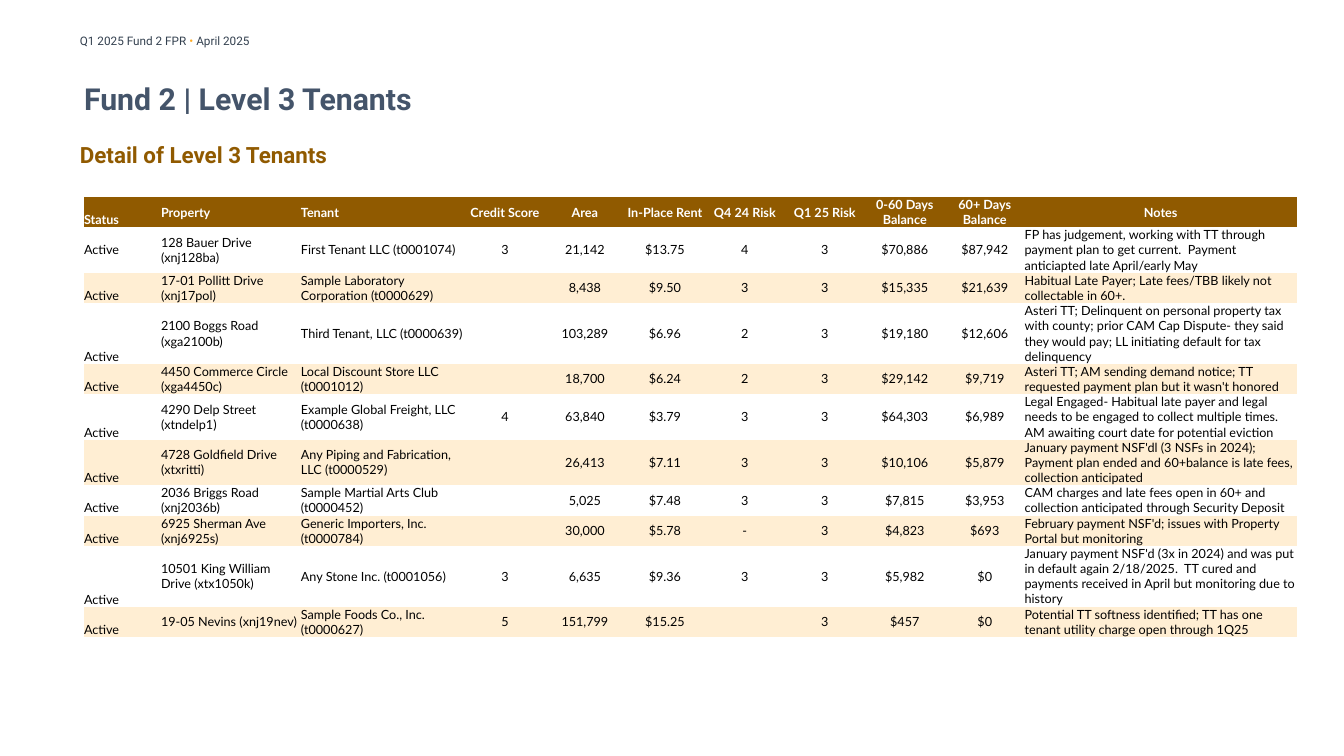
from pptx import Presentation
from pptx.dml.color import RGBColor
from pptx.enum.text import MSO_ANCHOR, PP_ALIGN
from pptx.util import Emu, Pt

LEFT, CENTER = PP_ALIGN.LEFT, PP_ALIGN.CENTER
MIDDLE, BOTTOM = MSO_ANCHOR.MIDDLE, MSO_ANCHOR.BOTTOM

WHITE = RGBColor(0xFF, 0xFF, 0xFF)
BLACK = RGBColor(0, 0, 0)
BROWN = RGBColor(0x90, 0x5A, 0x00)
CREAM = RGBColor(0xFF, 0xEE, 0xD3)
SLATE = RGBColor(0x44, 0x54, 0x6A)
CHARCOAL = RGBColor(0x33, 0x40, 0x4F)
AMBER = RGBColor(0xFF, 0xAB, 0x21)

PX_PER_INCH = 100.8
PLAIN_STYLE = "{2D5ABB26-0587-4C30-8999-92F81FD0307C}"
COLUMN_WIDTHS = [77, 140, 164] + [80] * 7 + [272]
LINE_HEIGHT = 15
ROW_LINES = [2, 3, 2, 4, 2, 3, 3, 2, 2, 4, 2]
STATUS_COLUMN = 0
NOTES_COLUMN = 10
LEFT_COLUMNS = (STATUS_COLUMN, 1, 2, NOTES_COLUMN)

HEADINGS = ["Status", "Property", "Tenant", "Credit Score", "Area", "In-Place Rent",
            "Q4 24 Risk", "Q1 25 Risk", "0-60 Days Balance", "60+ Days Balance", "Notes"]
TENANTS = [
    ["Active", "128 Bauer Drive (xnj128ba)", "First Tenant LLC (t0001074)",
     "3", "21,142", "$13.75", "4", "3", "$70,886", "$87,942",
     "FP has judgement, working with TT through payment plan to get current.  "
     "Payment anticiapted late April/early May"],
    ["Active", "17-01 Pollitt Drive (xnj17pol)", "Sample Laboratory Corporation (t0000629)",
     "", "8,438", "$9.50", "3", "3", "$15,335", "$21,639",
     "Habitual Late Payer; Late fees/TBB likely not collectable in 60+."],
    ["Active", "2100 Boggs Road (xga2100b)", "Third Tenant, LLC (t0000639)",
     "", "103,289", "$6.96", "2", "3", "$19,180", "$12,606",
     "Asteri TT; Delinquent on personal property tax with county; prior CAM Cap Dispute- "
     "they said they would pay; LL initiating default for tax delinquency"],
    ["Active", "4450 Commerce Circle (xga4450c)", "Local Discount Store LLC (t0001012)",
     "", "18,700", "$6.24", "2", "3", "$29,142", "$9,719",
     "Asteri TT; AM sending demand notice; TT requested payment plan but it wasn't honored"],
    ["Active", "4290 Delp Street (xtndelp1)", "Example Global Freight, LLC (t0000638)",
     "4", "63,840", "$3.79", "3", "3", "$64,303", "$6,989",
     "Legal Engaged- Habitual late payer and legal needs to be engaged to collect "
     "multiple times. AM awaiting court date for potential eviction"],
    ["Active", "4728 Goldfield Drive (xtxritti)", "Any Piping and Fabrication, LLC (t0000529)",
     "", "26,413", "$7.11", "3", "3", "$10,106", "$5,879",
     "January payment NSF'dl (3 NSFs in 2024); Payment plan ended and 60+balance is "
     "late fees, collection anticipated"],
    ["Active", "2036 Briggs Road (xnj2036b)", "Sample Martial Arts Club (t0000452)",
     "", "5,025", "$7.48", "3", "3", "$7,815", "$3,953",
     "CAM charges and late fees open in 60+ and collection anticipated through "
     "Security Deposit"],
    ["Active", "6925 Sherman Ave (xnj6925s)", "Generic Importers, Inc. (t0000784)",
     "", "30,000", "$5.78", "-", "3", "$4,823", "$693",
     "February payment NSF'd; issues with Property Portal but monitoring"],
    ["Active", "10501 King William Drive (xtx1050k)", "Any Stone Inc. (t0001056)",
     "3", "6,635", "$9.36", "3", "3", "$5,982", "$0",
     "January payment NSF'd (3x in 2024) and was put in default again 2/18/2025.  "
     "TT cured and payments received in April but monitoring due to history"],
    ["Active", "19-05 Nevins (xnj19nev)", "Sample Foods Co., Inc. (t0000627)",
     "5", "151,799", "$15.25", "", "3", "$457", "$0",
     "Potential TT softness identified; TT has one tenant utility charge open through 1Q25"],
]


def px(length):
    return Emu(round(length * 914400 / PX_PER_INCH))


def add_span(para, text, *, font="Roboto", size, color, bold=False):
    span = para.add_run()
    span.text = text
    span.font.name = font
    span.font.size = Pt(size)
    span.font.bold = bold
    span.font.color.rgb = color


def clear_margins(target):
    target.margin_left = target.margin_right = 0
    target.margin_top = target.margin_bottom = 0


def add_text(page, left, top, width, height, spans, **style):
    box = page.shapes.add_textbox(px(left), px(top), px(width), px(height))
    box.text_frame.word_wrap = True
    for text, color in spans:
        add_span(box.text_frame.paragraphs[0], text, color=color, **style)


def set_title(page, text):
    title = page.shapes.title
    title.left, title.top, title.width, title.height = px(84), px(60), px(1111), px(76)
    frame = title.text_frame
    clear_margins(frame)
    frame.vertical_anchor = MIDDLE
    para = frame.paragraphs[0]
    para.alignment = LEFT
    add_span(para, text, size=21.6, color=SLATE, bold=True)


def fill_cell(cell, text, *, fill, color, bold, align, anchor):
    clear_margins(cell)
    cell.vertical_anchor = anchor
    cell.fill.solid()
    cell.fill.fore_color.rgb = fill
    para = cell.text_frame.paragraphs[0]
    para.alignment = align
    if text:
        add_span(para, text, font="Lato", size=9, color=color, bold=bold)


def add_tenant_table(page, left, top):
    rows = [HEADINGS] + TENANTS
    heights = [lines * LINE_HEIGHT for lines in ROW_LINES]
    frame = page.shapes.add_table(len(rows), len(HEADINGS), px(left), px(top),
                                  px(sum(COLUMN_WIDTHS)), px(sum(heights)))
    table = frame.table
    table._tbl.tblPr.find("{*}tableStyleId").text = PLAIN_STYLE
    table.first_row = table.horz_banding = False
    for column, width in zip(table.columns, COLUMN_WIDTHS):
        column.width = px(width)
    for row_index, (values, height) in enumerate(zip(rows, heights)):
        table.rows[row_index].height = px(height)
        heading = row_index == 0
        fill = BROWN if heading else WHITE if row_index % 2 else CREAM
        for column_index, text in enumerate(values):
            centered = column_index not in LEFT_COLUMNS or (
                heading and column_index == NOTES_COLUMN)
            lowered = column_index == STATUS_COLUMN and row_index != 1
            fill_cell(table.cell(row_index, column_index), text, fill=fill,
                      color=WHITE if heading else BLACK, bold=heading,
                      align=CENTER if centered else LEFT,
                      anchor=BOTTOM if lowered else MIDDLE)


def main():
    deck = Presentation()
    deck.slide_width, deck.slide_height = px(1344), px(756)
    page = deck.slides.add_slide(deck.slide_layouts[5])
    add_text(page, 70, 29, 455, 24,
             [("Q1 2025 Fund 2 FPR ", CHARCOAL), ("• ", AMBER), ("April 2025", CHARCOAL)],
             size=8.4)
    set_title(page, "Fund 2 | Level 3 Tenants")
    add_text(page, 70, 136, 593, 37, [("Detail of Level 3 Tenants", BROWN)],
             size=16, bold=True)
    add_tenant_table(page, 84, 197)
    deck.save("out.pptx")


if __name__ == "__main__":
    main()
